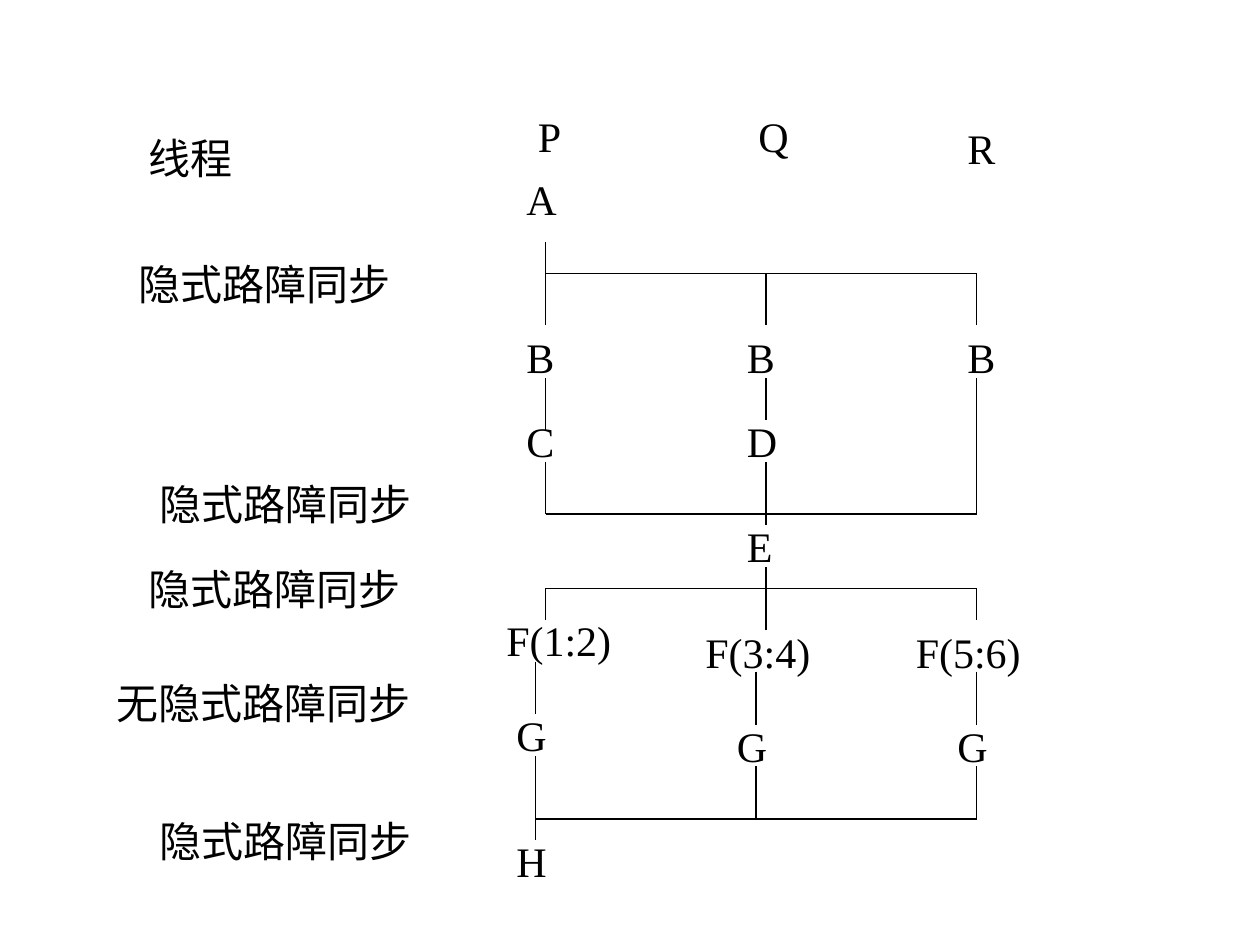
"""Build a slide showing threads P, Q and R with their barrier synchronisations."""
from typing import NamedTuple

from lxml.etree import SubElement
from pptx import Presentation
from pptx.dml.color import RGBColor
from pptx.enum.shapes import MSO_CONNECTOR
from pptx.enum.text import MSO_AUTO_SIZE
from pptx.oxml.ns import qn
from pptx.slide import Slide
from pptx.util import Inches, Pt

COLORS = {"text": "000000", "line": "000000"}
FONT = "Times New Roman"
BARRIER = "隐式路障同步"


class Label(NamedTuple):
    """A text label with its position and width in inches."""
    text: str
    left: float
    top: float
    width: float = 0.5


class Stem(NamedTuple):
    """A vertical thread segment in inches."""
    x: float
    top: float
    bottom: float


class Bar(NamedTuple):
    """A horizontal barrier line in inches."""
    y: float
    left: float
    right: float


SIDE_LABELS = [
    Label("线程", 1.08, 1, 1),
    Label(BARRIER, 1, 2, 2.33),
    Label(BARRIER, 1.17, 3.75, 2.33),
    Label(BARRIER, 1.08, 4.42, 2.33),
    Label("无" + BARRIER, 0.83, 5.33, 2.67),
    Label(BARRIER, 1.17, 6.42, 2.33),
]
THREAD_LABELS = [
    Label("P", 4.17, 0.83), Label("Q", 5.92, 0.83), Label("R", 7.58, 0.92),
    Label("A", 4.08, 1.33),
    Label("B", 4.08, 2.58), Label("B", 5.83, 2.58), Label("B", 7.58, 2.58),
    Label("C", 4.08, 3.25), Label("D", 5.83, 3.25),
    Label("E", 5.83, 4.08),
    Label("F(1:2)", 3.92, 4.83, 1.17),
    Label("F(3:4)", 5.5, 4.92, 1.17),
    Label("F(5:6)", 7.17, 4.92, 1.17),
    Label("G", 4, 5.58), Label("G", 5.75, 5.67), Label("G", 7.5, 5.67),
    Label("H", 4, 6.58),
]
BARS = [
    Bar(2.17, 4.33, 7.75),
    Bar(4.08, 4.33, 7.75),
    Bar(4.67, 4.33, 7.75),
    Bar(6.5, 4.25, 7.75),
]
STEMS = [
    Stem(4.33, 1.92, 2.58), Stem(6.08, 2.17, 2.58), Stem(7.75, 2.17, 2.58),
    Stem(4.33, 3, 3.42), Stem(6.08, 3, 3.33), Stem(7.75, 3, 4.08),
    Stem(4.33, 3.67, 4.08), Stem(6.08, 3.67, 4.17),
    Stem(4.33, 4.67, 4.92), Stem(6.08, 4.5, 5), Stem(7.75, 4.67, 4.92),
    Stem(4.25, 5.25, 5.67), Stem(6, 5.33, 5.75), Stem(7.75, 5.33, 5.75),
    Stem(4.25, 6, 6.67), Stem(6, 6.08, 6.5), Stem(7.75, 6.08, 6.5),
]


def draw_label(slide: Slide, label: Label) -> None:
    """Add one label as a wrapped text box."""
    shape = slide.shapes.add_textbox(
        Inches(label.left), Inches(label.top), Inches(label.width), Inches(0.5))
    frame = shape.text_frame
    frame.word_wrap = True
    frame.auto_size = MSO_AUTO_SIZE.SHAPE_TO_FIT_TEXT
    run = frame.paragraphs[0].add_run()
    run.text = label.text
    run.font.name = FONT
    run.font.size = Pt(24)
    run.font.color.rgb = RGBColor.from_string(COLORS["text"])


def draw_line(slide: Slide, x1: float, y1: float, x2: float, y2: float) -> None:
    """Add one thin straight connector without a shadow."""
    connector = slide.shapes.add_connector(
        MSO_CONNECTOR.STRAIGHT, Inches(x1), Inches(y1), Inches(x2), Inches(y2))
    connector.line.width = Pt(0.75)
    connector.line.color.rgb = RGBColor.from_string(COLORS["line"])
    SubElement(connector._element.spPr, qn("a:effectLst"))


def main() -> None:
    """Create and save the presentation."""
    presentation = Presentation()
    presentation.slide_width = Inches(10)
    presentation.slide_height = Inches(7.5)
    slide = presentation.slides.add_slide(presentation.slide_layouts[6])
    for label in SIDE_LABELS + THREAD_LABELS:
        draw_label(slide, label)
    for bar in BARS:
        draw_line(slide, bar.left, bar.y, bar.right, bar.y)
    for stem in STEMS:
        draw_line(slide, stem.x, stem.top, stem.x, stem.bottom)
    presentation.save("out.pptx")


if __name__ == "__main__":
    main()
